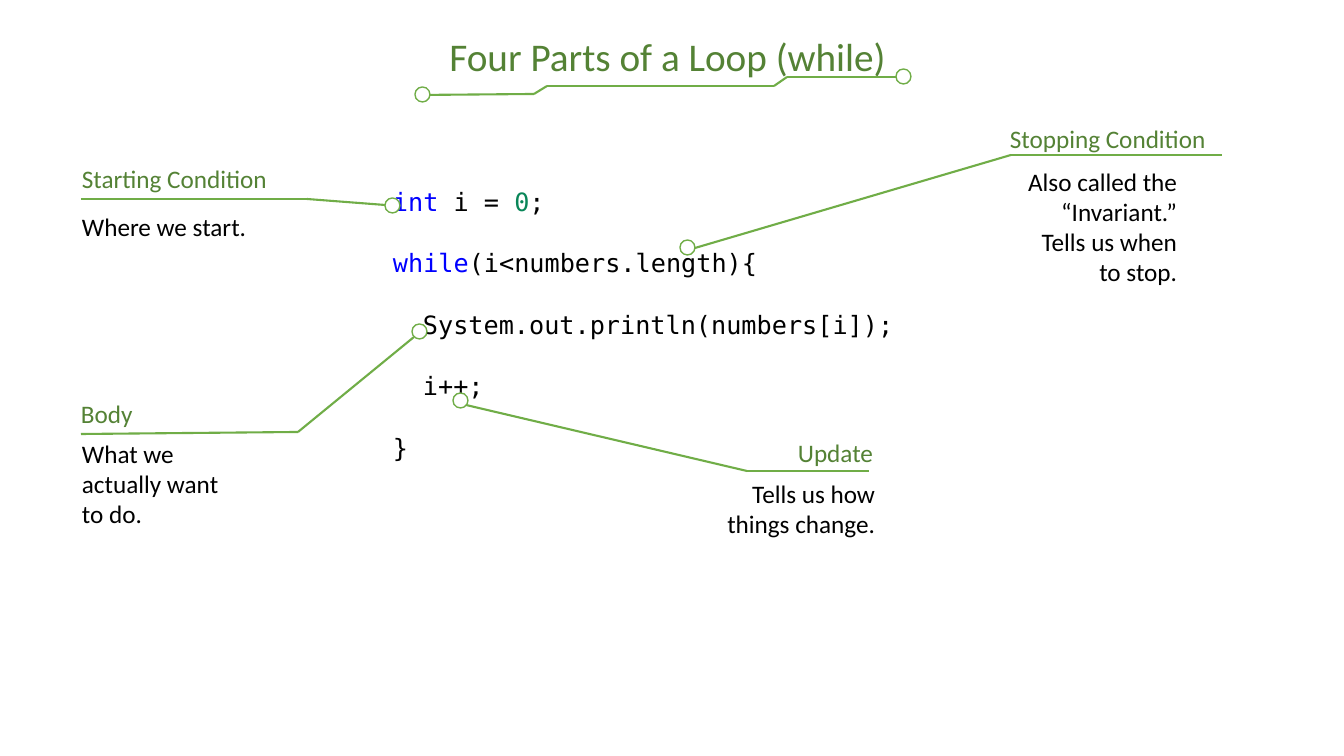
from pptx import Presentation, util as u
from pptx.dml.color import RGBColor
from pptx.enum import shapes, text
from pptx.oxml.ns import qn
from lxml import etree

PX = 914400 / 100.8  # EMU in one px
GREEN = RGBColor(0x70, 0xAD, 0x47)
DARK_GREEN = RGBColor(0x54, 0x82, 0x35)
BLUE = RGBColor(0x00, 0x00, 0xFF)
TEAL = RGBColor(0x09, 0x86, 0x58)
BLACK = RGBColor(0x00, 0x00, 0x00)
WHITE = RGBColor(0xFF, 0xFF, 0xFF)
LEFT, RIGHT = text.PP_ALIGN.LEFT, text.PP_ALIGN.RIGHT
DOT = 15
INDENT = 30


def px(*lengths):
    return [u.Emu(round(length * PX)) for length in lengths]


def add_run(paragraph, words, color, size=18, font="Calibri"):
    run = paragraph.add_run()
    run.text = words
    run.font.name = font
    run.font.size = u.Pt(size)
    run.font.color.rgb = color


presentation = Presentation()
presentation.slide_width, presentation.slide_height = px(1344, 756)
slide = presentation.slides.add_slide(presentation.slide_layouts[5])

# Title
title = slide.shapes.title
title.left, title.top, title.width, title.height = px(0, 27, 1335, 57)
title.text_frame.vertical_anchor = text.MSO_ANCHOR.TOP
title.text_frame.auto_size = text.MSO_AUTO_SIZE.NONE
title_paragraph = title.text_frame.paragraphs[0]
title_paragraph.alignment = text.PP_ALIGN.CENTER
add_run(title_paragraph, "Four Parts of a Loop (while)", DARK_GREEN, 28)

# Code: indent level, then coloured runs
code_lines = [
    (0, [("int ", BLUE), ("i = ", BLACK), ("0", TEAL), (";", BLACK)]),
    (0, [("while", BLUE), ("(i<numbers.length){", BLACK)]),
    (1, [("System.out.println(numbers[i]);", BLACK)]),
    (1, [("i++;", BLACK)]),
    (0, [("}", BLACK)]),
]
code_frame = slide.shapes.add_textbox(*px(383, 181, 578, 285)).text_frame
code_frame.word_wrap = True
for number, (level, runs) in enumerate(code_lines):
    paragraph = code_frame.add_paragraph() if number else code_frame.paragraphs[0]
    paragraph.space_before = u.Pt(22.4 if number else 0)
    paragraph._p.get_or_add_pPr().set("marL", str(px(level * INDENT)[0]))
    for words, color in runs:
        add_run(paragraph, words, color, font="DejaVu Sans Mono")

# Leader lines: points along the line, then corners of its dots
leaders = [
    ([(81, 199), (307, 199), (385, 205)], [(385, 198)]),
    ([(81, 434), (298, 432), (414, 337)], [(412, 324)]),
    ([(869, 471), (747, 471), (466, 405)], [(453, 393)]),
    ([(1222, 155), (1011, 155), (695, 248)], [(680, 240)]),
    ([(420, 95), (534, 94), (547, 86), (774, 86), (787, 77), (901, 77)],
     [(415, 87), (896, 69)]),
]
for points, dots in leaders:
    for start, end in zip(points, points[1:]):
        line = slide.shapes.add_connector(
            shapes.MSO_CONNECTOR.STRAIGHT, *px(*start, *end))
        line.line.color.rgb = GREEN
        line.line.width = u.Pt(1.5)
        etree.SubElement(line._element.spPr, qn("a:effectLst"))
    for corner in dots:
        dot = slide.shapes.add_shape(
            shapes.MSO_SHAPE.OVAL, *px(*corner, DOT, DOT))
        dot.shadow.inherit = False
        dot.fill.solid()
        dot.fill.fore_color.rgb = WHITE
        dot.line.color.rgb = GREEN
        dot.line.width = u.Pt(1)

# Headings and explanations: box, wrap, alignment, colour, paragraphs
captions = [
    ((72, 158, 208, 40), False, LEFT, DARK_GREEN, ["Starting Condition"]),
    ((72, 206, 186, 40), False, LEFT, BLACK, ["Where we start."]),
    ((71, 393, 73, 40), False, LEFT, DARK_GREEN, ["Body"]),
    ((72, 433, 173, 102), True, LEFT, BLACK, ["What we actually want to do."]),
    ((788, 432, 97, 40), False, LEFT, DARK_GREEN, ["Update"]),
    ((709, 473, 176, 72), True, RIGHT, BLACK, ["Tells us how things change."]),
    ((1000, 118, 219, 40), False, LEFT, DARK_GREEN, ["Stopping Condition"]),
    ((1011, 161, 176, 132), True, RIGHT, BLACK,
     ["Also called the “Invariant.”", "Tells us when to stop."]),
]
for box, wrap, alignment, color, paragraphs in captions:
    frame = slide.shapes.add_textbox(*px(*box)).text_frame
    frame.word_wrap = wrap
    for number, words in enumerate(paragraphs):
        paragraph = frame.add_paragraph() if number else frame.paragraphs[0]
        paragraph.alignment = alignment
        add_run(paragraph, words, color)

presentation.save("out.pptx")
